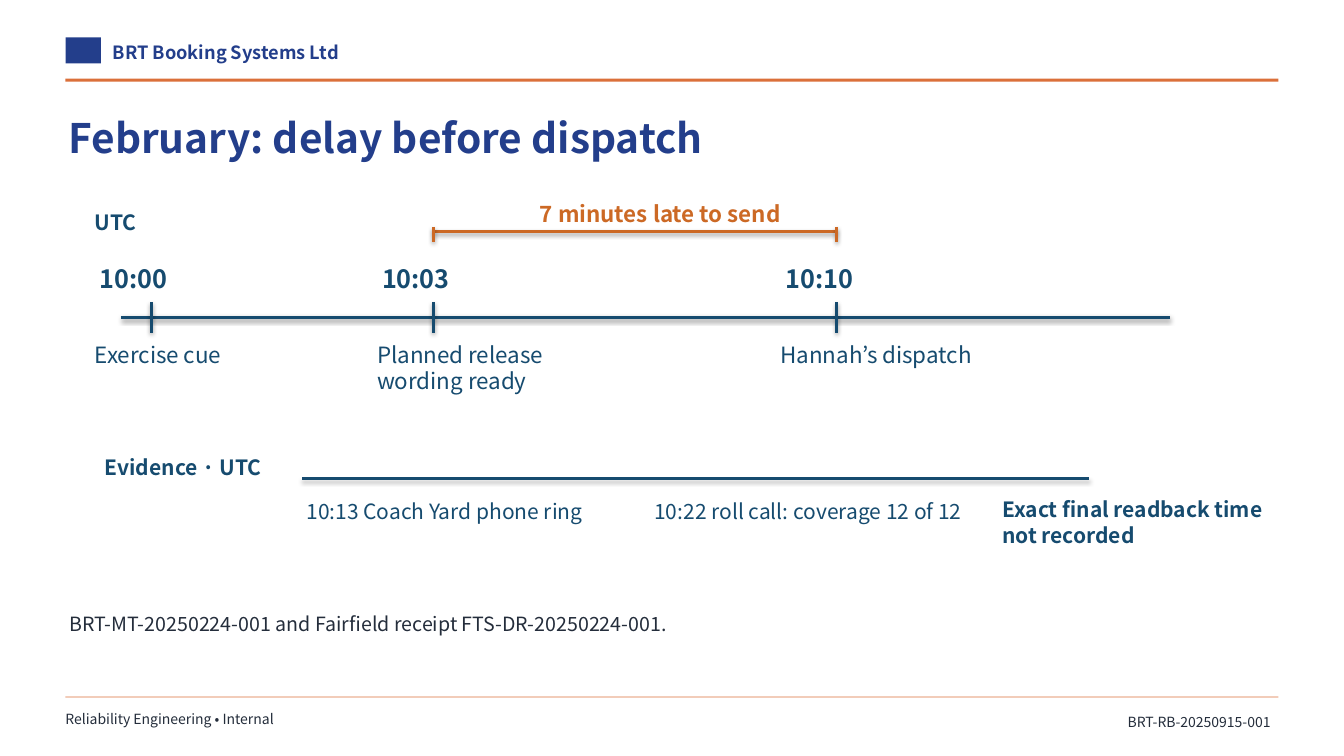
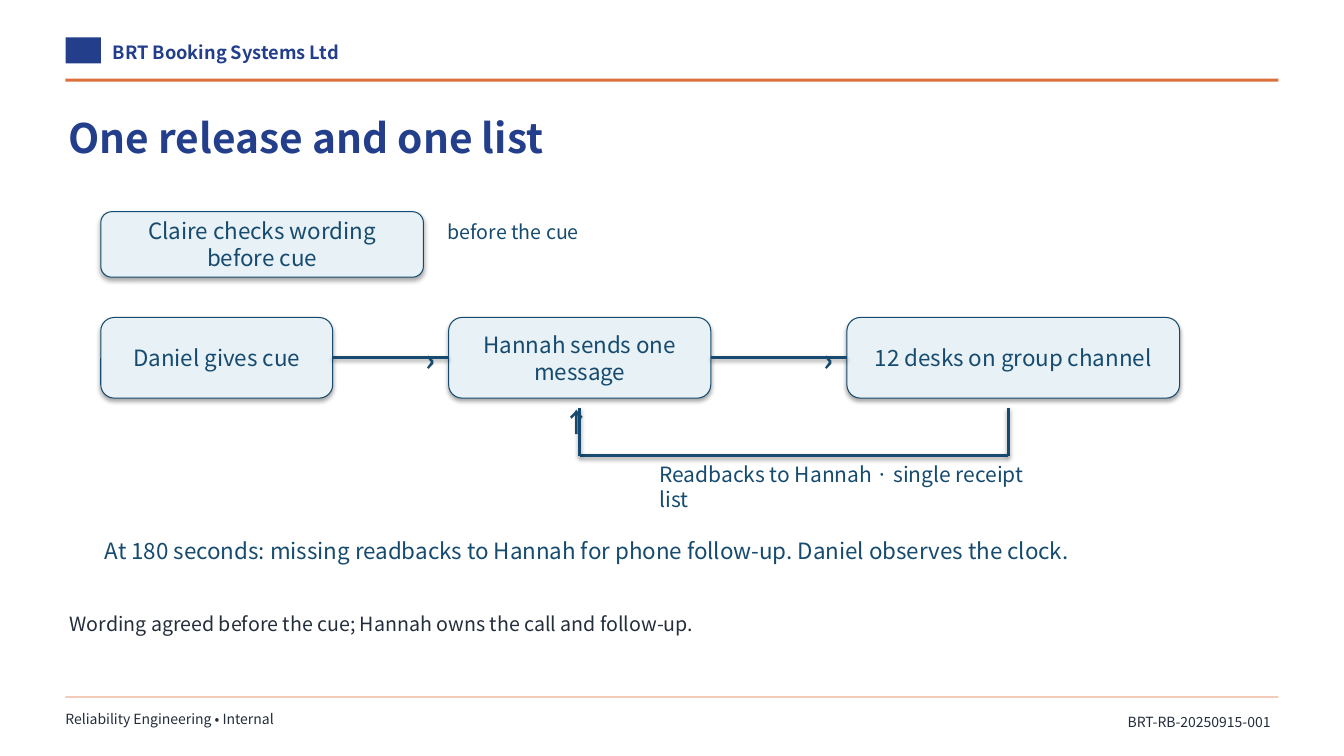
import dataclasses
import itertools

import pptx
import pptx.dml.color
import pptx.enum.shapes
import pptx.enum.text
import pptx.util

Inches = pptx.util.Inches
Pt = pptx.util.Pt
Align = pptx.enum.text.PP_ALIGN
Anchor = pptx.enum.text.MSO_ANCHOR
Shape = pptx.enum.shapes.MSO_SHAPE
STRAIGHT = pptx.enum.shapes.MSO_CONNECTOR.STRAIGHT
RIGHT_SIDE, LEFT_SIDE = 3, 1


@dataclasses.dataclass(frozen=True)
class Theme:
    font: str = "Noto Sans CJK JP"
    navy: str = "233E8B"
    orange: str = "DB703A"
    ink: str = "242D3B"
    teal: str = "164B6F"
    alert: str = "CC6925"
    pale: str = "E7F1F6"
    title: int = 29
    arrow: int = 22
    return_arrow: int = 19
    time: int = 18
    label: int = 16
    detail: int = 15
    note: int = 14
    brand: int = 13
    footer: int = 10
    line: float = 2
    outline: float = 0.75


THEME = Theme()
LABEL_INSETS = (0.04, 0.03, 0.04, 0)
FRAME_INSETS = (0, 0.03, 0, 0.03)
NODE_INSETS = (0.1, 0.05, 0.1, 0.05)
CODE_INSETS = (0.08, 0, 0.08, 0)
FRAME_SPACING = {"line_spacing": 1.1, "space_after": Pt(8)}


def rgb(color):
    return pptx.dml.color.RGBColor.from_string(color)


class Deck:
    def __init__(self, theme):
        self.theme = theme
        self.deck = pptx.Presentation()
        self.deck.slide_width = Inches(13.33)
        self.deck.slide_height = Inches(7.5)
        self.page = None

    def add_page(self, title, note):
        """Start a slide with the shared header, title, note and footer."""
        theme = self.theme
        self.page = self.deck.slides.add_slide(self.deck.slide_layouts[6])
        self.bar(0.65, 0.37, 0.35, 0.26, theme.navy)
        self.bar(0.65, 0.78, 12.03, 0.03, theme.orange)
        self.bar(0.65, 6.91, 12.03, 0.01, theme.orange)
        self.frame_text("BRT Booking Systems Ltd", 1.12, 0.36, 6.5, 0.33,
                        theme.brand, theme.navy, bold=True)
        self.frame_text("Reliability Engineering • Internal",
                        0.65, 7, 8.9, 0.32, theme.footer, theme.ink)
        self.frame_text(title, 0.68, 1.04, 11.9, 0.7,
                        theme.title, theme.navy, bold=True)
        self.frame_text(note, 0.69, 6.02, 11.9, 0.56, theme.note, theme.ink)
        self.text("BRT-RB-20250915-001", 10.38, 7, 2.3, 0.32, theme.footer,
                  theme.ink, insets=CODE_INSETS, anchor=Anchor.MIDDLE,
                  spacing={"alignment": Align.RIGHT})

    def bar(self, left, top, width, height, color):
        bar = self.page.shapes.add_shape(
            Shape.RECTANGLE, Inches(left), Inches(top),
            Inches(width), Inches(height))
        bar.shadow.inherit = False
        bar.fill.solid()
        bar.fill.fore_color.rgb = rgb(color)
        bar.line.fill.background()

    def fill_text(self, box, text, size, color, bold, insets, anchor, spacing):
        frame = box.text_frame
        margins = zip(("left", "top", "right", "bottom"), insets)
        frame_format = {f"margin_{side}": Inches(inset)
                        for side, inset in margins}
        frame_format.update(word_wrap=True, vertical_anchor=anchor)
        for name, value in frame_format.items():
            setattr(frame, name, value)
        para = frame.paragraphs[0]
        para.text = text
        for name, value in spacing.items():
            setattr(para, name, value)
        font_format = {"name": self.theme.font, "size": Pt(size), "bold": bold}
        for span in para.runs:
            for name, value in font_format.items():
                setattr(span.font, name, value)
            span.font.color.rgb = rgb(color)

    def text(self, text, left, top, width, height, size, color=THEME.teal,
             bold=False, insets=LABEL_INSETS, anchor=Anchor.TOP, spacing=None):
        box = self.page.shapes.add_textbox(
            Inches(left), Inches(top), Inches(width), Inches(height))
        self.fill_text(box, text, size, color, bold, insets, anchor,
                       spacing or {})

    def frame_text(self, *args, **options):
        """Add text in the style of the title, note and page furniture."""
        self.text(*args, insets=FRAME_INSETS, spacing=FRAME_SPACING, **options)

    def node(self, text, left, top, width, height):
        """Add a rounded step box; it keeps the soft default shadow."""
        node = self.page.shapes.add_shape(
            Shape.ROUNDED_RECTANGLE, Inches(left), Inches(top),
            Inches(width), Inches(height))
        node.fill.solid()
        node.fill.fore_color.rgb = rgb(self.theme.pale)
        node.line.color.rgb = rgb(self.theme.teal)
        node.line.width = Pt(self.theme.outline)
        self.fill_text(node, text, self.theme.label, self.theme.teal, False,
                       NODE_INSETS, Anchor.MIDDLE,
                       {"alignment": Align.CENTER})
        return node

    def line(self, start, end, color=THEME.teal):
        """Add a straight line; it keeps the soft default shadow."""
        line = self.page.shapes.add_connector(
            STRAIGHT, *(Inches(value) for value in (*start, *end)))
        line.line.color.rgb = rgb(color)
        line.line.width = Pt(self.theme.line)
        return line

    def join(self, source, target):
        """Link two boxes from right side to left side."""
        link = self.line((0, 0), (1, 0))
        link.begin_connect(source, RIGHT_SIDE)
        link.end_connect(target, LEFT_SIDE)
        self.text("›", target.left.inches - 0.27, 3.35, 0.35, 0.35,
                  self.theme.arrow, bold=True)


def add_delay_page(deck):
    theme = deck.theme
    deck.add_page(
        "February: delay before dispatch",
        "BRT-MT-20250224-001 and Fairfield receipt FTS-DR-20250224-001.")
    deck.text("UTC", 0.9, 2.05, 1, 0.3, theme.detail, bold=True)

    deck.line((1.2, 3.15), (11.6, 3.15))
    events = ((1.5, "10:00", "Exercise cue"),
              (4.3, "10:03", "Planned release\vwording ready"),
              (8.3, "10:10", "Hannah’s dispatch"))
    for x, time, event in events:
        deck.line((x, 3), (x, 3.3))
        deck.text(time, x - 0.55, 2.58, 1.5, 0.38, theme.time, bold=True)
        deck.text(event, x - 0.6, 3.35, 2.5, 0.75, theme.label)

    ready, sent = events[1][0], events[2][0]
    deck.line((ready, 2.3), (sent, 2.3), theme.alert)
    for x in (ready, sent):
        deck.line((x, 2.25), (x, 2.4), theme.alert)
    deck.text("7 minutes late to send", 5.15, 1.96, 2.8, 0.35, theme.label,
              theme.alert, bold=True, spacing={"alignment": Align.CENTER})

    deck.text("Evidence · UTC", 1, 4.48, 1.8, 0.4, theme.detail, bold=True)
    deck.line((3, 4.75), (10.8, 4.75))
    deck.text("10:13 Coach Yard phone ring", 3, 4.92, 3.3, 0.7, theme.detail)
    deck.text("10:22 roll call: coverage 12 of 12",
              6.45, 4.92, 3.4, 0.7, theme.detail)
    deck.text("Exact final readback time not recorded",
              9.9, 4.9, 2.7, 0.8, theme.detail, bold=True)


def add_release_page(deck):
    theme = deck.theme
    deck.add_page(
        "One release and one list",
        "Wording agreed before the cue; Hannah owns the call and follow-up.")
    deck.node("Claire checks wording before cue", 1, 2.1, 3.2, 0.65)
    deck.text("before the cue", 4.4, 2.15, 2.5, 0.4, theme.note)

    steps = [deck.node(text, left, 3.15, width, 0.8) for text, left, width in (
        ("Daniel gives cue", 1, 2.3),
        ("Hannah sends one message", 4.45, 2.6),
        ("12 desks on group channel", 8.4, 3.3))]
    for source, target in itertools.pairwise(steps):
        deck.join(source, target)

    readback_route = ((10, 4.05), (10, 4.52), (5.75, 4.52), (5.75, 4.05))
    for start, end in itertools.pairwise(readback_route):
        deck.line(start, end)
    deck.text("Readbacks to Hannah · single receipt list",
              6.5, 4.55, 4, 0.45, theme.detail)
    deck.text("↑", 5.55, 4, 0.4, 0.4, theme.return_arrow, bold=True)
    deck.text("At 180 seconds: missing readbacks to Hannah for phone "
              "follow-up. Daniel observes the clock.",
              1, 5.3, 11, 0.45, theme.label)


def main():
    deck = Deck(THEME)
    add_delay_page(deck)
    add_release_page(deck)
    deck.deck.save("out.pptx")


if __name__ == "__main__":
    main()
